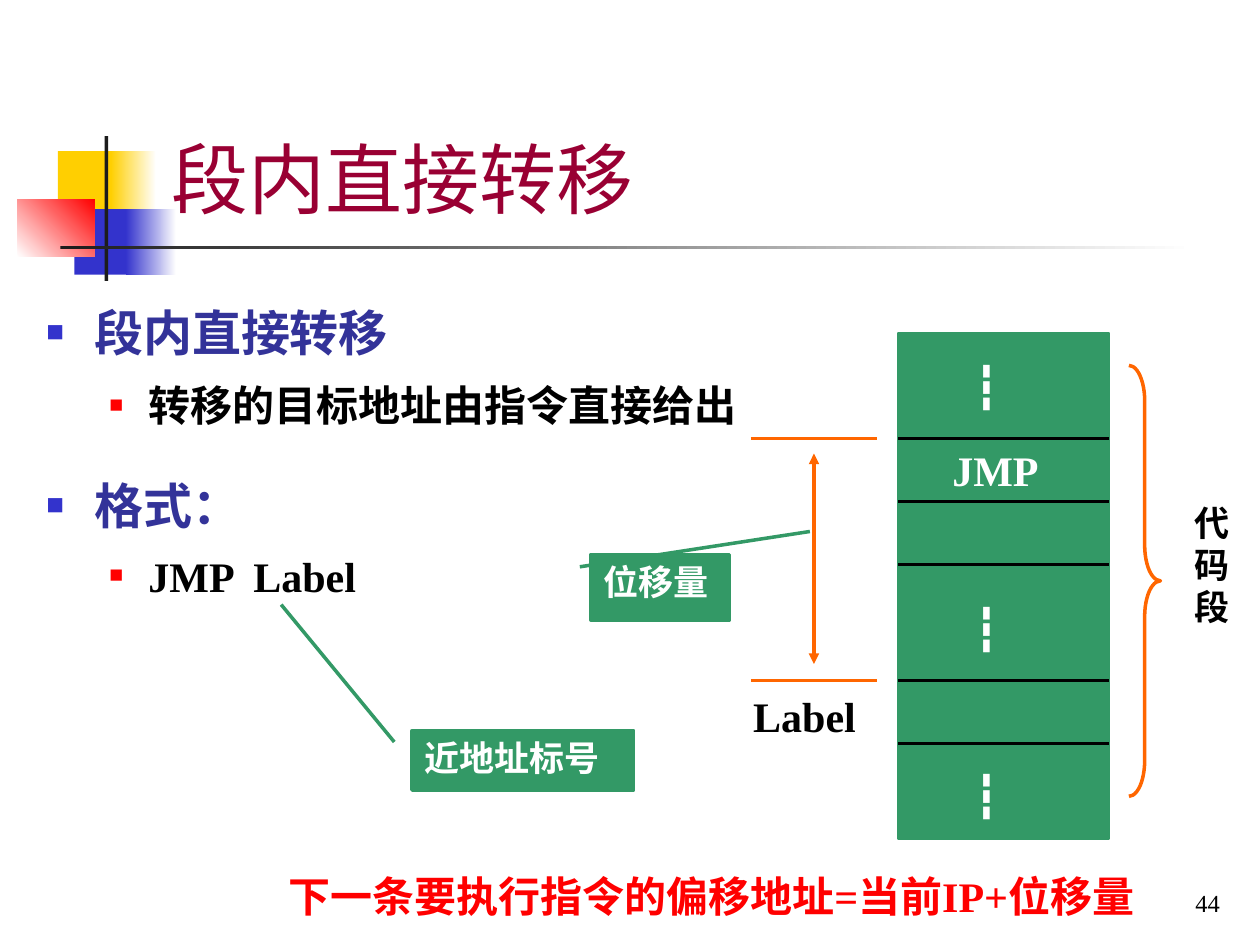
from lxml import etree
from pptx import Presentation
from pptx import util as u
from pptx.dml.color import RGBColor
from pptx.enum import shapes, text
from pptx.oxml.ns import qn

FONT = "Times New Roman"
GREEN, ORANGE, RED = "339966", "FF6600", "FF0000"
BLACK, WHITE, BLUE, YELLOW = "000000", "FFFFFF", "3333CC", "FFCF01"
SHAPE = shapes.MSO_SHAPE
TOP, BOTTOM = text.MSO_ANCHOR.TOP, text.MSO_ANCHOR.BOTTOM
LEFT, RIGHT = text.PP_ALIGN.LEFT, text.PP_ALIGN.RIGHT


def rgb(value):
    return RGBColor.from_string(value)


def inches(*values):
    return [u.Inches(v) for v in values]


def add_run(p, content, size, color, bold=True):
    r = p.add_run()
    r.text = content
    r.font.name = FONT
    r.font.size = u.Pt(size)
    r.font.bold = bold
    r.font.color.rgb = rgb(color)


def write(sp, content, size, color, bold=True, anchor=TOP, align=LEFT):
    """Put one paragraph into a shape and return it."""
    tf = sp.text_frame
    tf.word_wrap = True
    tf.vertical_anchor = anchor
    p = tf.paragraphs[0]
    p.alignment = align
    add_run(p, content, size, color, bold)
    return p


def add_text(s, box, content, size, color, **options):
    return write(s.shapes.add_textbox(*inches(*box)), content, size, color, **options)


def add_shape(s, kind, box, fill=None, line=None, adjust=()):
    sp = s.shapes.add_shape(kind, *inches(*box))
    sp.shadow.inherit = False
    for i, value in enumerate(adjust):
        sp.adjustments[i] = value
    if fill:
        sp.fill.solid()
        sp.fill.fore_color.rgb = rgb(fill)
    else:
        sp.fill.background()
    if line:
        sp.line.color.rgb = rgb(line)
        sp.line.width = u.Pt(2)
    else:
        sp.line.fill.background()
    return sp


def add_fade(s, box, start, end, angle=0):
    """Add a rectangle with a two-colour gradient."""
    fill = add_shape(s, SHAPE.RECTANGLE, box).fill
    fill.gradient()
    fill.gradient_angle = angle
    for stop, color in zip(fill.gradient_stops, (start, end)):
        stop.color.rgb = rgb(color)


def add_line(s, x1, y1, x2, y2, color, arrows=False):
    line = s.shapes.add_connector(shapes.MSO_CONNECTOR.STRAIGHT, *inches(x1, y1, x2, y2))
    line.line.color.rgb = rgb(color)
    line.line.width = u.Pt(2)
    if arrows:
        ln = line.line._get_or_add_ln()
        for tag in ("a:headEnd", "a:tailEnd"):
            etree.SubElement(ln, qn(tag), type="triangle")
    etree.SubElement(line._element.spPr, qn("a:effectLst"))


def add_callout(s, box, content, adjust):
    sp = add_shape(s, SHAPE.LINE_CALLOUT_1, box, GREEN, GREEN, adjust)
    write(sp, content, 20, WHITE)


def set_bullet(p, color, percent, margin, indent):
    pPr = p._p.get_or_add_pPr()
    pPr.set("marL", str(u.Inches(margin)))
    pPr.set("indent", str(-u.Inches(indent)))
    bu = etree.SubElement(pPr, qn("a:buClr"))
    etree.SubElement(bu, qn("a:srgbClr"), val=color)
    etree.SubElement(pPr, qn("a:buSzPct"), val=str(percent * 1000))
    etree.SubElement(pPr, qn("a:buFont"), typeface=FONT)
    etree.SubElement(pPr, qn("a:buChar"), char="■")


def add_outline(s):
    tf = s.shapes.add_textbox(*inches(0.27, 2.28, 7.8, 2.65)).text_frame
    tf.word_wrap = True
    items = [(0, "段内直接转移", 0), (1, "转移的目标地址由指令直接给出", 4.5),
             (0, "格式：", 8.8), (1, "JMP  Label", 3)]
    for i, (level, content, before) in enumerate(items):
        p = tf.add_paragraph() if i else tf.paragraphs[0]
        p.level = level
        p.line_spacing = 1.15
        p.space_before = u.Pt(before)
        p.space_after = u.Pt(12 if level else 1.8)
        if level:
            set_bullet(p, RED, 55, 0.81, 0.31)
            add_run(p, content, 24, BLACK)
        else:
            set_bullet(p, BLUE, 60, 0.38, 0.38)
            add_run(p, content, 28, "333399")


def add_decoration(s):
    add_shape(s, SHAPE.RECTANGLE, (0.46, 1.2, 0.48, 0.52), YELLOW)
    add_fade(s, (0.88, 1.2, 0.36, 0.52), YELLOW, WHITE)
    add_shape(s, SHAPE.RECTANGLE, (0.59, 1.66, 0.46, 0.52), BLUE)
    add_fade(s, (1, 1.66, 0.4, 0.52), BLUE, WHITE)
    add_fade(s, (0.14, 1.58, 0.61, 0.46), WHITE, RED, 45)
    add_shape(s, SHAPE.RECTANGLE, (0.83, 1.08, 0.03, 1.15), "1C1C1C")
    add_fade(s, (0.48, 1.95, 9, 0.03), "1C1C1C", WHITE)


def add_code_segment(s):
    left, width = 7.13, 1.67
    jmp_y, label_y = 3.48, 5.4
    add_shape(s, SHAPE.RECTANGLE, (left, 2.65, width, 4), GREEN, GREEN)
    for y in (jmp_y, 3.98, 4.48, label_y, 5.9):
        add_line(s, left, y, left + width, y, BLACK)
    add_text(s, (7.46, jmp_y, 1.17, 0.5), "JMP", 24, WHITE)
    add_text(s, (5.88, 5.43, 1.14, 0.5), "Label", 24, BLACK)
    for y in (2.81, 4.73, 6.06):
        add_text(s, (7.63, y, 0.58, 0.5), "┇", 24, WHITE)
    add_shape(s, SHAPE.RIGHT_BRACE, (8.96, 2.9, 0.25, 3.42), line=ORANGE,
              adjust=(1.13, 0.5))
    add_text(s, (9.38, 3.93, 0.51, 1.1), "代码段", 20, BLACK)
    for y in (jmp_y, label_y):
        add_line(s, 5.96, y, 6.96, y, ORANGE)
    add_line(s, 6.46, 3.6, 6.46, 5.27, ORANGE, arrows=True)


def main():
    prs = Presentation()
    prs.slide_width, prs.slide_height = inches(10, 7.5)
    s = prs.slides.add_slide(prs.slide_layouts[6])
    add_decoration(s)
    add_text(s, (1.26, 0.23, 8.52, 1.6), "段内直接转移", 44, "990033",
             bold=False, anchor=BOTTOM)
    add_outline(s)
    add_callout(s, (3.27, 5.8, 1.76, 0.47), "近地址标号", (0.19, -0.08, -2.13, -0.59))
    add_text(s, (7.7, 6.83, 2.08, 0.5), "44", 14, BLACK,
             bold=False, anchor=BOTTOM, align=RIGHT)
    add_code_segment(s)
    add_callout(s, (4.69, 4.4, 1.1, 0.52), "位移量", (0.19, -0.08, -0.35, 1.58))
    p = add_text(s, (2.19, 6.94, 7.8, 0.42),
                 "下一条要执行指令的偏移地址=当前IP+位移量", 24, RED)
    p.line_spacing = 0.8
    prs.save("out.pptx")


if __name__ == "__main__":
    main()
